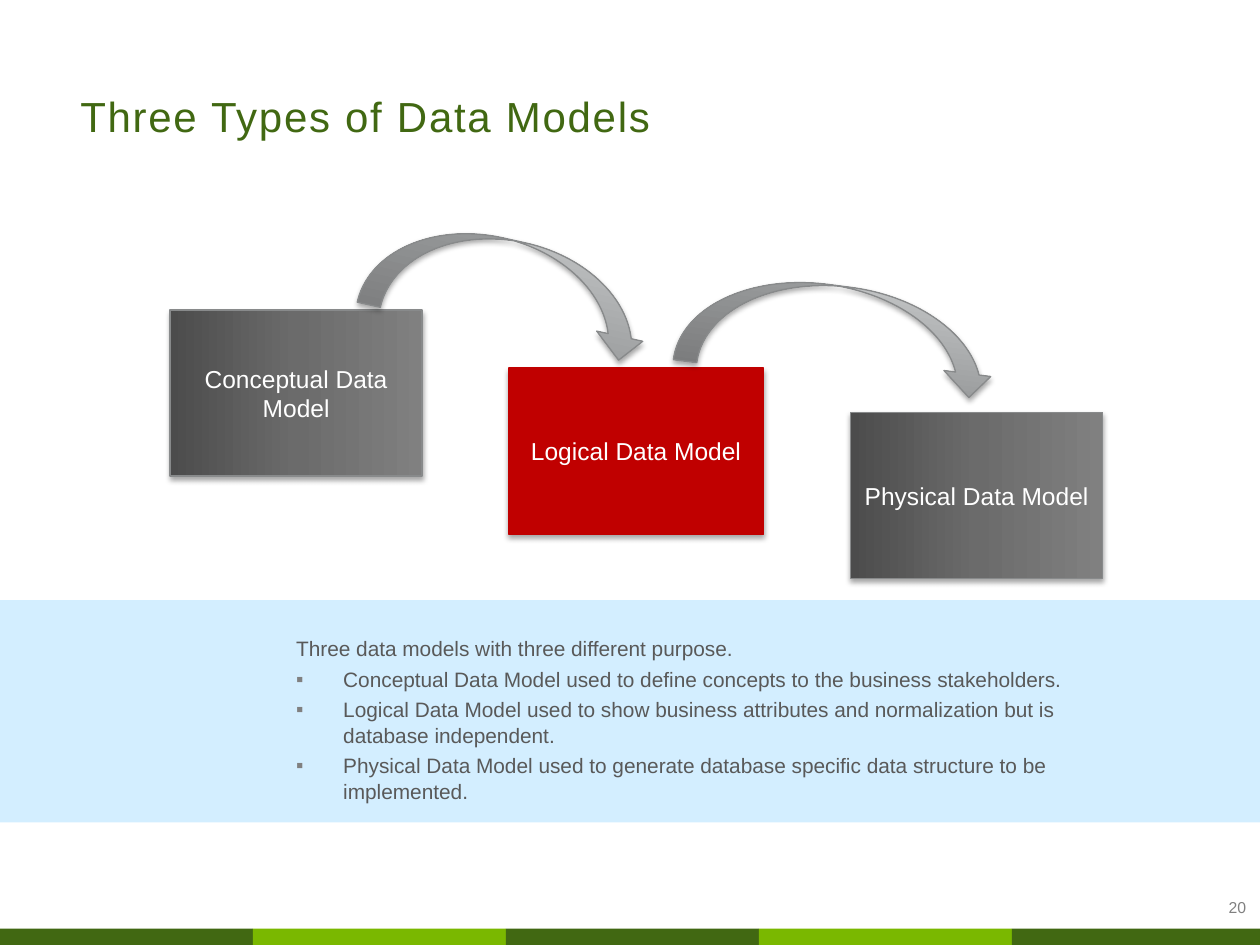
from lxml.etree import SubElement
from pptx import Presentation
from pptx.dml.color import RGBColor
from pptx.enum.shapes import MSO_SHAPE
from pptx.enum.text import MSO_ANCHOR, PP_ALIGN
from pptx.oxml import parse_xml
from pptx.oxml.ns import nsdecls, qn
from pptx.util import Cm, Pt

GREENS = ("416812", "7AB800")
RED = "C00000"
EDGE = "888A8B"
BOX_STOPS = ((0, "4C4C4C"), (50, "6B6B6B"), (100, "808080"))
ARROW_STOPS = ((0, "8B8D8E"), (100, "CFD1D2"))


def rgb(value):
    return RGBColor.from_string(value)


def add_run(p, text, size, color):
    r = p.add_run()
    r.text = text
    r.font.name = "Arial"
    r.font.size = Pt(size)
    r.font.color.rgb = rgb(color)
    return r


def add_text_box(s, box):
    tf = s.shapes.add_textbox(*map(Cm, box)).text_frame
    tf.word_wrap = True
    return tf


def add_solid(s, kind, box, color):
    sp = s.shapes.add_shape(kind, *map(Cm, box))
    sp.shadow.inherit = False
    sp.fill.solid()
    sp.fill.fore_color.rgb = rgb(color)
    sp.line.fill.background()
    return sp


def set_gradient(sp, stops, angle):
    sp.fill.gradient()
    grad = sp._element.spPr.find(qn("a:gradFill"))
    gs_list = grad.find(qn("a:gsLst"))
    for gs in list(gs_list):
        gs_list.remove(gs)
    for pos, color in stops:
        gs = SubElement(gs_list, qn("a:gs"), pos=str(pos * 1000))
        SubElement(gs, qn("a:srgbClr"), val=color)
    grad.find(qn("a:lin")).set("ang", str(angle * 60000))


def add_raised(s, kind, box, color, edge):
    sp = add_solid(s, kind, box, color)
    sp.line.color.rgb = rgb(edge)
    sp.line.width = Pt(0.75)
    sp._element.spPr.find(qn("a:effectLst")).append(parse_xml(
        f'<a:outerShdw {nsdecls("a")} blurRad="{Pt(3.1)}" dist="{Pt(1.8)}" '
        'dir="5400000" rotWithShape="0"><a:srgbClr val="000000">'
        '<a:alpha val="35000"/></a:srgbClr></a:outerShdw>'))
    return sp


def add_footer(s, box):
    x, y, w, h = box
    step = 5.1
    for i in range(5):
        left = i * step
        add_solid(s, MSO_SHAPE.RECTANGLE,
                  (x + left, y, min(step, w - left), h), GREENS[i % 2])
    p = add_text_box(s, (x + w - 1.73, y - 0.74, 1.7, 0.5)).paragraphs[0]
    p.alignment = PP_ALIGN.RIGHT
    add_run(p, "20", 9, "808080")


def add_title(s, box):
    tf = add_text_box(s, box)
    tf.vertical_anchor = MSO_ANCHOR.BOTTOM
    tf.margin_bottom = 0
    p = tf.paragraphs[0]
    p.line_spacing = Pt(26.8)
    r = add_run(p, "Three Types of Data Models", 24, GREENS[0])
    r.font._element.set("spc", "100")


def add_diagram(s, box):
    x, y, w, h = box
    models = (
        ("Logical Data Model", 6.83, 2.57, 5.13, None),
        ("Conceptual Data Model", 0, 1.4, 5.08, BOX_STOPS),
        ("Physical Data Model", w - 5.08, h - 3.35, 5.08, BOX_STOPS),
    )
    for name, dx, dy, width, stops in models:
        sp = add_raised(s, MSO_SHAPE.RECTANGLE, (x + dx, y + dy, width, 3.35),
                        RED, EDGE if stops else RED)
        if stops:
            set_gradient(sp, stops, 0)
        tf = sp.text_frame
        tf.word_wrap = True
        tf.vertical_anchor = MSO_ANCHOR.MIDDLE
        p = tf.paragraphs[0]
        p.alignment = PP_ALIGN.CENTER
        add_run(p, name, 14, "FFFFFF")

    for dx, dy, width, turn in ((3.91, 0, 5.87, 12.5), (10.24, 0.92, 6.48, 7.3)):
        sp = add_raised(s, MSO_SHAPE.CURVED_DOWN_ARROW,
                        (x + dx, y + dy, width, 1.9), EDGE, EDGE)
        set_gradient(sp, ARROW_STOPS, 270)
        sp.rotation = turn


def add_summary(s, box):
    x, y, w, h = box
    add_solid(s, MSO_SHAPE.RECTANGLE, box, "D3EEFF")
    tf = add_text_box(s, (x + 5.72, y + 0.58, 16.94, h - 0.86))
    lines = (
        "Three data models with three different purpose.",
        "Conceptual Data Model used to define concepts to the business stakeholders.",
        "Logical Data Model used to show business attributes and normalization "
        "but is database independent.",
        "Physical Data Model used to generate database specific data structure "
        "to be implemented.",
    )
    for i, text in enumerate(lines):
        p = tf.add_paragraph() if i else tf.paragraphs[0]
        p.line_spacing = 1.04
        if i:
            p.space_before = Pt(2.4)
            pPr = p._p.get_or_add_pPr()
            pPr.set("marL", str(Cm(0.95)))
            pPr.set("indent", str(-Cm(0.95)))
            SubElement(SubElement(pPr, qn("a:buClr")), qn("a:srgbClr"), val="808080")
            SubElement(pPr, qn("a:buFont"), typeface="Arial")
            SubElement(pPr, qn("a:buChar"), char="▪")
        add_run(p, text, 11.9, "595959")


def main():
    prs = Presentation()
    prs.slide_width, prs.slide_height = Cm(25.4), Cm(19.05)
    s = prs.slides.add_slide(prs.slide_layouts[6])
    add_footer(s, (0, 18.72, 25.4, 0.33))
    add_title(s, (1.37, 0.94, 22.76, 1.9))
    add_diagram(s, (3.43, 4.85, 18.8, 6.81))
    add_summary(s, (0, 12.1, 25.4, 4.48))
    prs.save("out.pptx")


if __name__ == "__main__":
    main()
